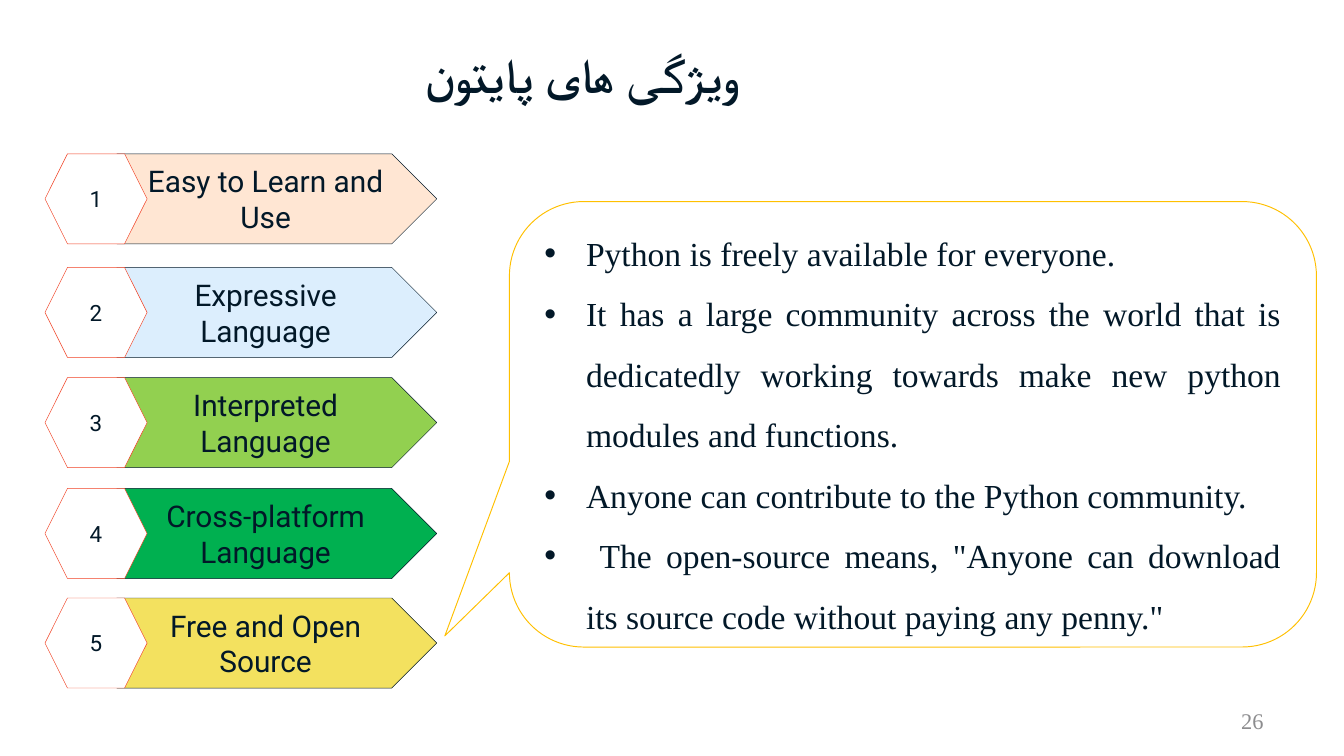
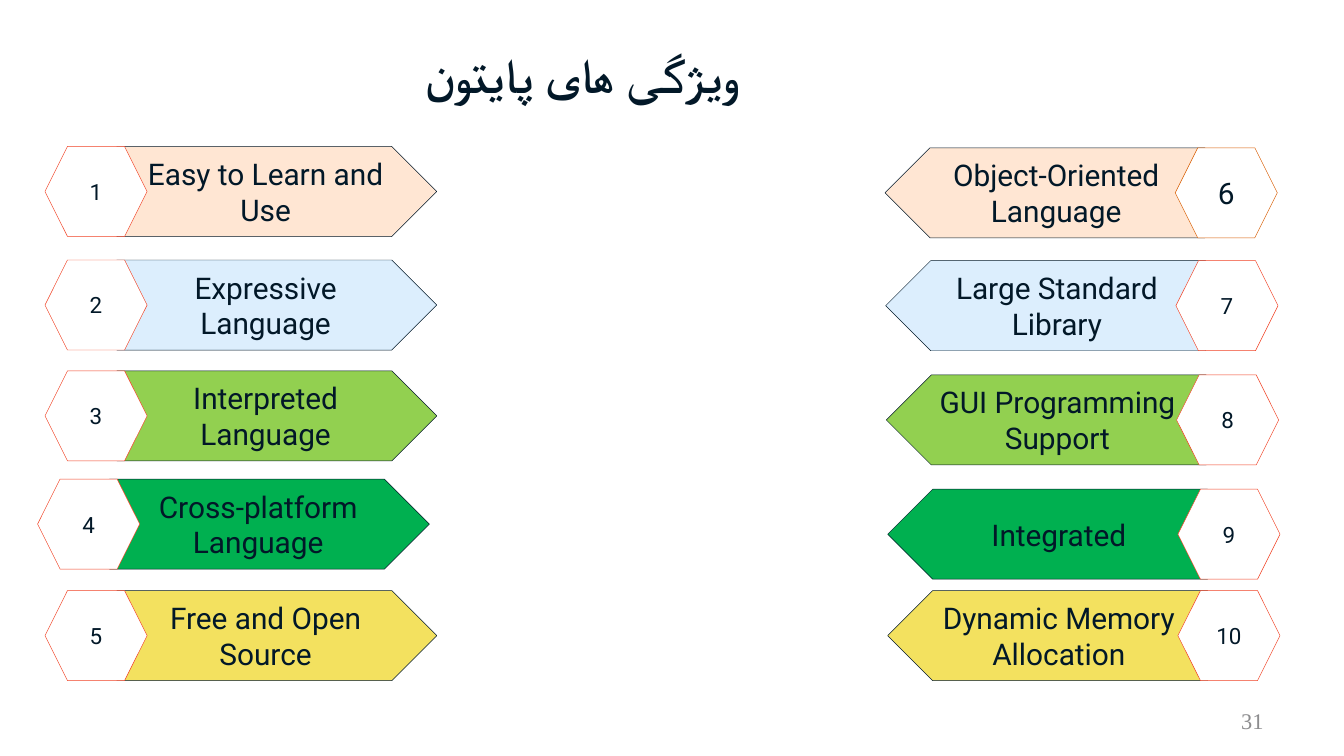
from pptx import Presentation
from pptx.dml.color import RGBColor
from pptx.enum.shapes import MSO_SHAPE as Preset
from pptx.enum.text import MSO_ANCHOR as Anchor, MSO_AUTO_SIZE as AutoSize, PP_ALIGN as Align
from pptx.oxml import parse_xml
from pptx.oxml.ns import nsdecls
from pptx.util import Pt

PX = 4572
INK = RGBColor(0x02, 0x18, 0x28)
WHITE = RGBColor(0xFF, 0xFF, 0xFF)
RED = RGBColor(0xF1, 0x41, 0x24)
ORANGE = RGBColor(0xD8, 0x5C, 0x00)
GOLD = RGBColor(0xFF, 0xC0, 0x00)
GREY = RGBColor(0x8C, 0x8C, 0x8E)
PEACH = RGBColor(0xFF, 0xE6, 0xD3)
SKY = RGBColor(0xDC, 0xEE, 0xFD)
LIME = RGBColor(0x92, 0xD0, 0x50)
GREEN = RGBColor(0x00, 0xB0, 0x50)
YELLOW = RGBColor(0xF3, 0xE1, 0x5F)
ROW_COLOURS = [PEACH, SKY, LIME, GREEN, YELLOW]

TITLE = {"name": "Times New Roman", "size": Pt(26), "bold": True}
FOOTER = {"name": "Times New Roman", "size": Pt(12)}
BODY = {"name": "Times New Roman", "size": Pt(18)}
LABEL = {"name": "Roboto", "size": Pt(16)}
NUMBER = {"name": "Roboto", "size": Pt(12)}

LEFT_LABELS = ["Easy to Learn and Use", "Expressive Language", "Interpreted Language",
               "Cross-platform Language", "Free and Open Source"]
RIGHT_LABELS = ["Object-Oriented Language", "Large Standard Library", "GUI Programming Support",
                "Integrated", "Dynamic Memory Allocation"]
OPEN_SOURCE_POINTS = [
    "Python is freely available for everyone. ",
    "It has a large community across the world that is dedicatedly working towards "
    "make new python modules and functions. ",
    "Anyone can contribute to the Python community.",
    " The open-source means, \"Anyone can download its source code without paying any penny.\"",
]

SLIDES = [
    {"page": "26", "points": OPEN_SOURCE_POINTS, "columns": [
        (1, LEFT_LABELS, [67] * 5, [229, 398, 562, 727, 890], False)]},
    {"page": "31", "points": [], "columns": [
        (1, LEFT_LABELS, [67, 67, 67, 56, 67], [218, 387, 552, 713, 879], False),
        (6, RIGHT_LABELS, [1317, 1318, 1319, 1321, 1321], [220, 388, 558, 728, 879], True)]},
]


def write(frame, lines, style, colour=INK, align=Align.CENTER, bullet=False):
    frame.word_wrap = True
    frame.auto_size = AutoSize.NONE
    frame.vertical_anchor = Anchor.MIDDLE
    for index, line in enumerate(lines):
        paragraph = frame.add_paragraph() if index else frame.paragraphs[0]
        paragraph.alignment = align
        if bullet:
            paragraph.line_spacing = 1.5
            props = paragraph._p.get_or_add_pPr()
            props.set("marL", str(62 * PX))
            props.set("indent", str(-62 * PX))
            props.append(parse_xml(f'<a:buFont {nsdecls("a")} typeface="Arial"/>'))
            props.append(parse_xml(f'<a:buChar {nsdecls("a")} char="•"/>'))
        run = paragraph.add_run()
        run.text = line
        for key, value in style.items():
            setattr(run.font, key, value)
        run.font.color.rgb = colour


def add_panel(shapes, preset, box, fill, line, width=0.25, mirrored=False):
    panel = shapes.add_shape(preset, *(value * PX for value in box))
    panel.shadow.inherit = False
    panel.fill.solid()
    panel.fill.fore_color.rgb = fill
    panel.line.color.rgb = line
    panel.line.width = Pt(width)
    if mirrored:
        panel._element.spPr.get_or_add_xfrm().set("flipH", "1")
    return panel


deck = Presentation()
deck.slide_width, deck.slide_height = 2000 * PX, 1125 * PX

for content in SLIDES:
    slide = deck.slides.add_slide(deck.slide_layouts[5])

    page = slide.shapes.add_textbox(1434 * PX, 1043 * PX, 466 * PX, 60 * PX)
    write(page.text_frame, [content["page"]], FOOTER, GREY, Align.RIGHT)

    heading = slide.shapes.title
    heading.left, heading.top, heading.width, heading.height = (
        value * PX for value in (200, 30, 1334, 162))
    write(heading.text_frame, ["ویژگی های پایتون"], TITLE)
    heading_text = heading.text_frame.paragraphs[0]
    heading_text._p.get_or_add_pPr().set("rtl", "1")
    heading_text.runs[0]._r.get_or_add_rPr().append(
        parse_xml(f'<a:cs {nsdecls("a")} typeface="Roboto"/>'))

    for first, labels, lefts, tops, mirrored in content["columns"]:
        rows = zip(labels, lefts, tops, ROW_COLOURS)
        for number, (label, left, top, colour) in enumerate(rows, first):
            feature = slide.shapes.add_group_shape().shapes
            arrow_left, badge_left = (left, left + 432) if mirrored else (left + 107, left)
            arrow = add_panel(feature, Preset.PENTAGON, (arrow_left, top, 476, 134),
                              colour, INK, mirrored=mirrored)
            write(arrow.text_frame, [label], LABEL)

            emphasised = number == 6
            badge = add_panel(feature, Preset.HEXAGON, (badge_left, top, 152, 134), WHITE,
                              ORANGE if emphasised else RED, mirrored=mirrored)
            write(badge.text_frame, [str(number)], LABEL if emphasised else NUMBER)
            if not emphasised:
                digit = badge.text_frame.paragraphs[0].runs[0]
                digit._r.get_or_add_rPr().insert(0, parse_xml(
                    f'<a:ln {nsdecls("a")} w="{Pt(0.25)}"><a:solidFill>'
                    f'<a:srgbClr val="{INK}"/></a:solidFill></a:ln>'))

    if content["points"]:
        callout = add_panel(slide.shapes, Preset.ROUNDED_RECTANGULAR_CALLOUT,
                            (758, 300, 1201, 663), WHITE, GOLD, 0.5)
        for index, value in enumerate((-0.58, 0.475, 0.167)):
            callout.adjustments[index] = value
        write(callout.text_frame, content["points"], BODY, align=Align.JUSTIFY, bullet=True)

deck.save("out.pptx")
